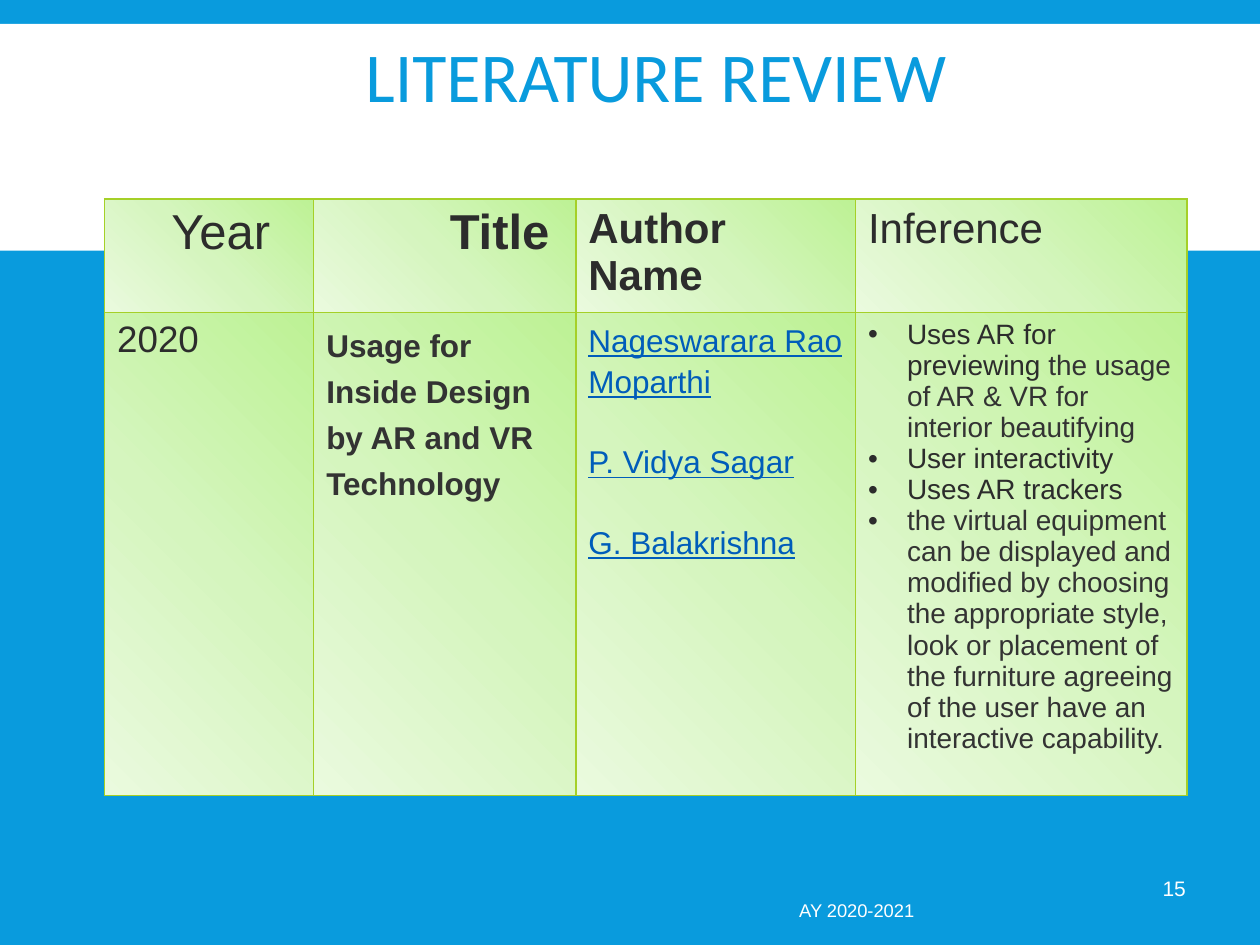
from lxml import etree
from pptx import Presentation
from pptx.dml.color import RGBColor
from pptx.enum.shapes import MSO_SHAPE
from pptx.enum.text import MSO_ANCHOR, PP_ALIGN
from pptx.oxml.ns import qn
from pptx.util import Inches, Pt

LEFT, CENTER, RIGHT = PP_ALIGN.LEFT, PP_ALIGN.CENTER, PP_ALIGN.RIGHT
RECTANGLE, MIDDLE = MSO_SHAPE.RECTANGLE, MSO_ANCHOR.MIDDLE
BLUE = RGBColor(0x09, 0x9B, 0xDD)
WHITE = RGBColor(0xFF, 0xFF, 0xFF)
DARK = RGBColor(0x2C, 0x2C, 0x2C)
GREY = RGBColor(0x33, 0x33, 0x33)
LINK = RGBColor(0x00, 0x5D, 0xBA)
GREEN = RGBColor(0xA5, 0xD0, 0x28)
GRADIENT = [
    (0, RGBColor(0xBD, 0xF2, 0x95)),
    (50, RGBColor(0xD5, 0xF5, 0xBE)),
    (100, RGBColor(0xEA, 0xFA, 0xDE)),
]
GRADIENT_ANGLE = 135

CAPTIONS = [
    dict(text="LITERATURE REVIEW", box=(0.67, 0.17, 8.62, 0.93), inset=2.23,
         size=40, font="Calibri", color=BLUE, align=LEFT, spacing=0.9),
    dict(text="AY 2020-2021", box=(4.58, 7.02, 4.44, 0.4), size=10.5, color=WHITE, align=CENTER),
    dict(text="15", box=(7.26, 6.85, 2.25, 0.4), size=12, color=WHITE, align=RIGHT),
]

TABLE_LEFT, TABLE_TOP = 0.83, 1.58
COLUMNS = [1.66, 2.08, 2.22, 2.63]
ROWS = [0.89, 3.76]
REVIEW = [
    [
        dict(paragraphs=[[("Year", DARK)]], size=28, indent=0.43),
        dict(paragraphs=[[("Title", DARK)]], size=28, bold=True, indent=0.98),
        dict(paragraphs=[[("Author Name", DARK)]], size=24, bold=True),
        dict(paragraphs=[[("Inference", DARK)]], size=24),
    ],
    [
        dict(paragraphs=[[("2020", DARK)]], size=21),
        dict(paragraphs=[[("Usage for Inside Design by AR and VR Technology", GREY)]],
             size=18, bold=True, spacing=1.3),
        dict(paragraphs=[[("Nageswarara Rao Moparthi", LINK)],
                         [("P. Vidya Sagar", LINK)],
                         [("G. Balakrishna", LINK)]],
             size=18, underline=True, spacing=1.15, gap=23),
        dict(paragraphs=[
            [("Uses AR for previewing ", DARK),
             ("the usage of AR & VR for interior beautifying", GREY)],
            [("User interactivity", DARK)],
            [("Uses AR trackers", DARK)],
            [("the virtual equipment can be displayed and modified by choosing the "
              "appropriate style, look or placement of the furniture agreeing of the "
              "user have an interactive capability.", GREY)],
        ], size=16, bullet="•", indent=0.31),
    ],
]


def add_run(paragraph, text, color, size, font="Arial", bold=False, underline=False):
    run = paragraph.add_run()
    run.text = text
    run.font.name, run.font.size = font, Pt(size)
    run.font.bold, run.font.underline = bold, underline
    run.font.color.rgb = color


def add_color(parent, color):
    etree.SubElement(parent, qn("a:srgbClr"), val=str(color))


def add_caption(slide, text, box, size, color, align, font="Arial", inset=0.1, spacing=1.0):
    caption = slide.shapes.add_textbox(*map(Inches, box))
    frame = caption.text_frame
    frame.word_wrap = True
    frame.vertical_anchor = MIDDLE
    frame.margin_left = Inches(inset)
    paragraph = frame.paragraphs[0]
    paragraph.alignment, paragraph.line_spacing = align, spacing
    add_run(paragraph, text, color, size, font)


def style_cell(cell):
    properties = cell._tc.get_or_add_tcPr()
    for side in ("lnL", "lnR", "lnT", "lnB"):
        border = etree.SubElement(properties, qn(f"a:{side}"), w=str(Pt(1)))
        add_color(etree.SubElement(border, qn("a:solidFill")), GREEN)
    gradient = etree.SubElement(properties, qn("a:gradFill"), rotWithShape="1")
    stops = etree.SubElement(gradient, qn("a:gsLst"))
    for position, color in GRADIENT:
        add_color(etree.SubElement(stops, qn("a:gs"), pos=str(position * 1000)), color)
    etree.SubElement(gradient, qn("a:lin"), ang=str(GRADIENT_ANGLE * 60000), scaled="0")


def fill_cell(cell, paragraphs, size, bold=False, underline=False, spacing=None,
              gap=0, bullet=None, indent=0):
    style_cell(cell)
    frame = cell.text_frame
    for index, runs in enumerate(paragraphs):
        paragraph = frame.add_paragraph() if index else frame.paragraphs[0]
        if spacing:
            paragraph.line_spacing = spacing
        if index and gap:
            paragraph.space_before = Pt(gap)
        properties = paragraph._p.get_or_add_pPr()
        properties.set("marL", str(Inches(indent)))
        if bullet:
            properties.set("indent", str(-Inches(indent)))
            add_color(etree.SubElement(properties, qn("a:buClr")), DARK)
            etree.SubElement(properties, qn("a:buFont"), typeface="Arial")
            etree.SubElement(properties, qn("a:buChar"), char=bullet)
        for text, color in runs:
            add_run(paragraph, text, color, size, bold=bold, underline=underline)


def main():
    deck = Presentation()
    deck.slide_width, deck.slide_height = Inches(10), Inches(7.5)
    slide = deck.slides.add_slide(deck.slide_layouts[6])
    slide.background.fill.solid()
    slide.background.fill.fore_color.rgb = BLUE

    band = slide.shapes.add_shape(RECTANGLE, 0, Inches(0.19), deck.slide_width, Inches(1.8))
    band.shadow.inherit = False
    band.fill.solid()
    band.fill.fore_color.rgb = WHITE
    band.line.fill.background()

    for caption in CAPTIONS:
        add_caption(slide, **caption)

    review = slide.shapes.add_table(
        len(ROWS), len(COLUMNS), Inches(TABLE_LEFT), Inches(TABLE_TOP),
        Inches(sum(COLUMNS)), Inches(sum(ROWS))).table
    for column, width in zip(review.columns, COLUMNS):
        column.width = Inches(width)
    for row, height, contents in zip(review.rows, ROWS, REVIEW):
        row.height = Inches(height)
        for cell, content in zip(row.cells, contents):
            fill_cell(cell, **content)

    deck.save("out.pptx")


if __name__ == "__main__":
    main()
